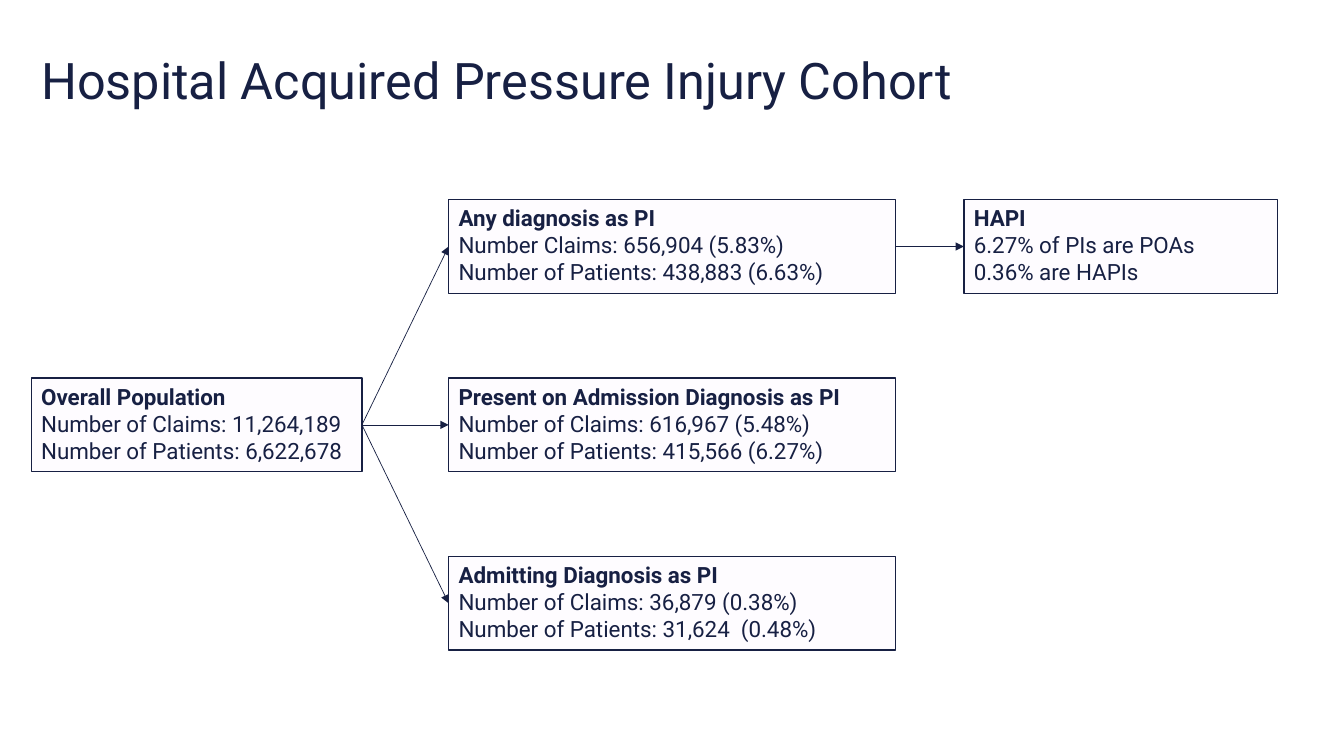
import dataclasses

import pptx
import pptx.dml.color
import pptx.enum.shapes
import pptx.enum.text
import pptx.oxml.ns
import pptx.util
from lxml import etree


@dataclasses.dataclass(frozen=True)
class Theme:
    """Colours, font and type sizes of the slide."""
    ink: str = "172043"
    panel: str = "FEFCFF"
    font: str = "Roboto"
    title_size: int = 36
    body_size: int = 16
    border: float = 1
    arrow: float = 0.5


THEME = Theme()
RIGHT, LEFT = 3, 1
COLUMNS = [(0, 3.28), (4.14, 4.43), (9.25, 3.11)]
ROW_PITCH, ROW_HEIGHT = 1.77, 0.93

COHORTS = {
    "overall": (0, 1, ["Overall Population",
                       "Number of Claims: 11,264,189",
                       "Number of Patients: 6,622,678"]),
    "any": (1, 0, ["Any diagnosis as PI",
                   "Number Claims: 656,904 (5.83%)",
                   "Number of Patients: 438,883 (6.63%)"]),
    "present": (1, 1, ["Present on Admission Diagnosis as PI",
                       "Number of Claims: 616,967 (5.48%)",
                       "Number of Patients: 415,566 (6.27%)"]),
    "admitting": (1, 2, ["Admitting Diagnosis as PI",
                         "Number of Claims: 36,879 (0.38%)",
                         "Number of Patients: 31,624  (0.48%)"]),
    "hapi": (2, 0, ["HAPI", "6.27% of PIs are POAs", "0.36% are HAPIs"]),
}
LINKS = [("overall", "any"), ("overall", "present"),
         ("overall", "admitting"), ("any", "hapi")]


def rgb(value):
    """Return the colour for a hex value."""
    return pptx.dml.color.RGBColor.from_string(value)


def inches(*values):
    """Return the values as lengths in inches."""
    return [pptx.util.Inches(value) for value in values]


def write(p, text, size=THEME.body_size, bold=False, spacing=None):
    """Write text into a paragraph with the given format."""
    p.alignment = pptx.enum.text.PP_ALIGN.LEFT
    if spacing:
        p.line_spacing = spacing
    r = p.add_run()
    r.text = text
    r.font.name = THEME.font
    r.font.size = pptx.util.Pt(size)
    r.font.bold = bold
    r.font.color.rgb = rgb(THEME.ink)


def add_title(s, box, text):
    """Place the slide title in its box."""
    tf = s.shapes.add_textbox(*inches(*box)).text_frame
    tf.word_wrap = True
    tf.vertical_anchor = pptx.enum.text.MSO_ANCHOR.MIDDLE
    write(tf.paragraphs[0], text, size=THEME.title_size, spacing=0.9)


def add_cohort(s, box, lines):
    """Draw a cohort box with a bold heading above its counts."""
    sp = s.shapes.add_shape(pptx.enum.shapes.MSO_SHAPE.RECTANGLE, *inches(*box))
    sp.shadow.inherit = False
    sp.fill.solid()
    sp.fill.fore_color.rgb = rgb(THEME.panel)
    sp.line.color.rgb = rgb(THEME.ink)
    sp.line.width = pptx.util.Pt(THEME.border)
    tf = sp.text_frame
    tf.word_wrap = True
    tf.vertical_anchor = pptx.enum.text.MSO_ANCHOR.TOP
    for i, line in enumerate(lines):
        p = tf.add_paragraph() if i else tf.paragraphs[0]
        write(p, line, bold=i == 0)
    return sp


def add_arrow(s, source, target):
    """Join the right side of one box to the left side of another."""
    line = s.shapes.add_connector(
        pptx.enum.shapes.MSO_CONNECTOR.STRAIGHT, 0, 0, 0, 0)
    line.begin_connect(source, RIGHT)
    line.end_connect(target, LEFT)
    line.line.color.rgb = rgb(THEME.ink)
    line.line.width = pptx.util.Pt(THEME.arrow)
    tail = etree.SubElement(line.line._get_or_add_ln(),
                            pptx.oxml.ns.qn("a:tailEnd"))
    tail.set("type", "triangle")
    etree.SubElement(line._element.spPr, pptx.oxml.ns.qn("a:effectLst"))


def add_flow(s, box):
    """Place the cohort boxes on a grid in the box and link them."""
    left, top = box[:2]
    shapes = {}
    for name, (column, row, lines) in COHORTS.items():
        offset, width = COLUMNS[column]
        cell = (left + offset, top + row * ROW_PITCH, width, ROW_HEIGHT)
        shapes[name] = add_cohort(s, cell, lines)
    for source, target in LINKS:
        add_arrow(s, shapes[source], shapes[target])


def main():
    """Build and save the slide."""
    prs = pptx.Presentation()
    prs.slide_width, prs.slide_height = inches(13.33, 7.5)
    s = prs.slides.add_slide(prs.slide_layouts[6])
    add_title(s, (0.31, 0.1, 11.5, 1.45),
              "Hospital Acquired Pressure Injury Cohort")
    add_flow(s, (0.31, 1.98, 12.36, 4.48))
    prs.save("out.pptx")


if __name__ == "__main__":
    main()
